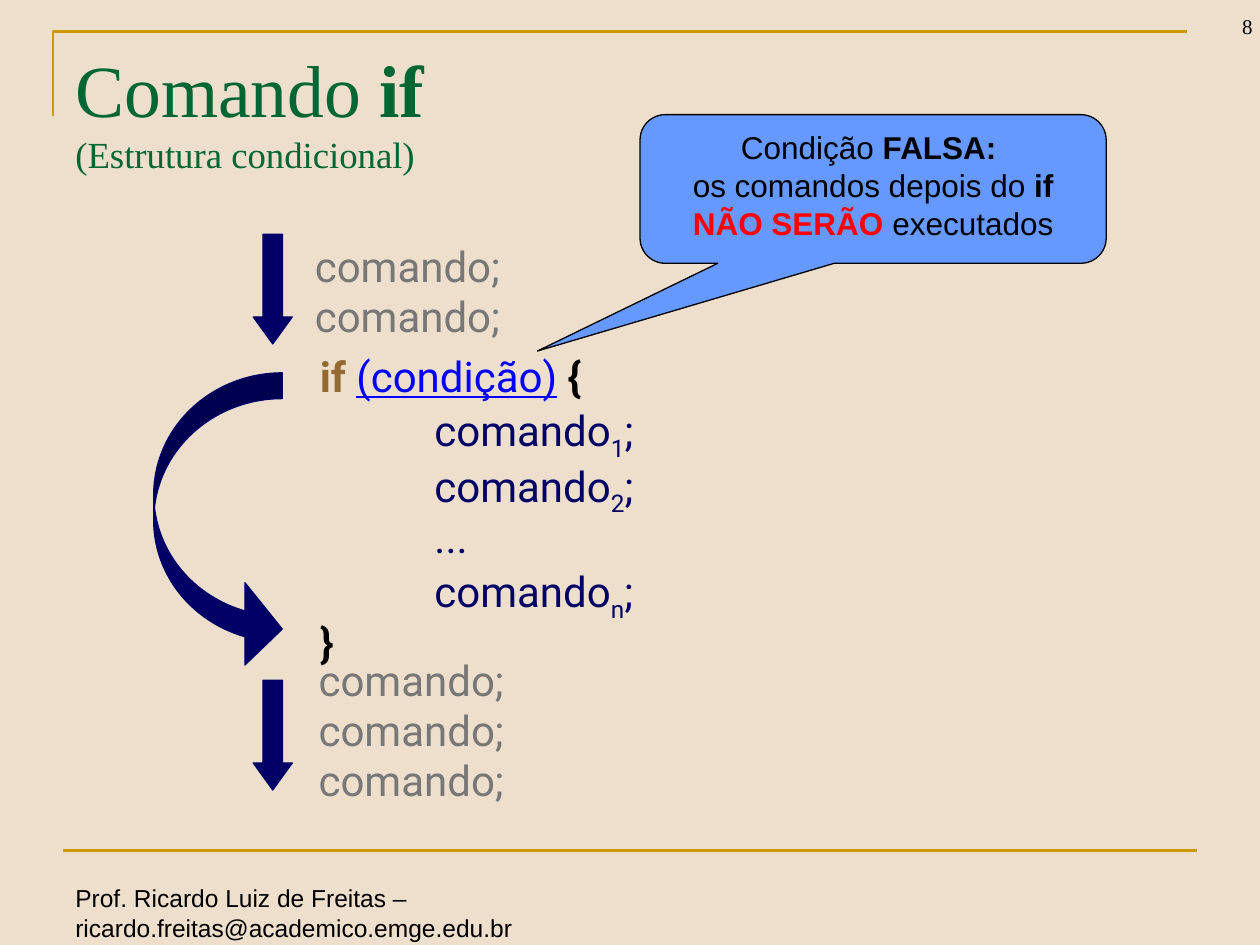
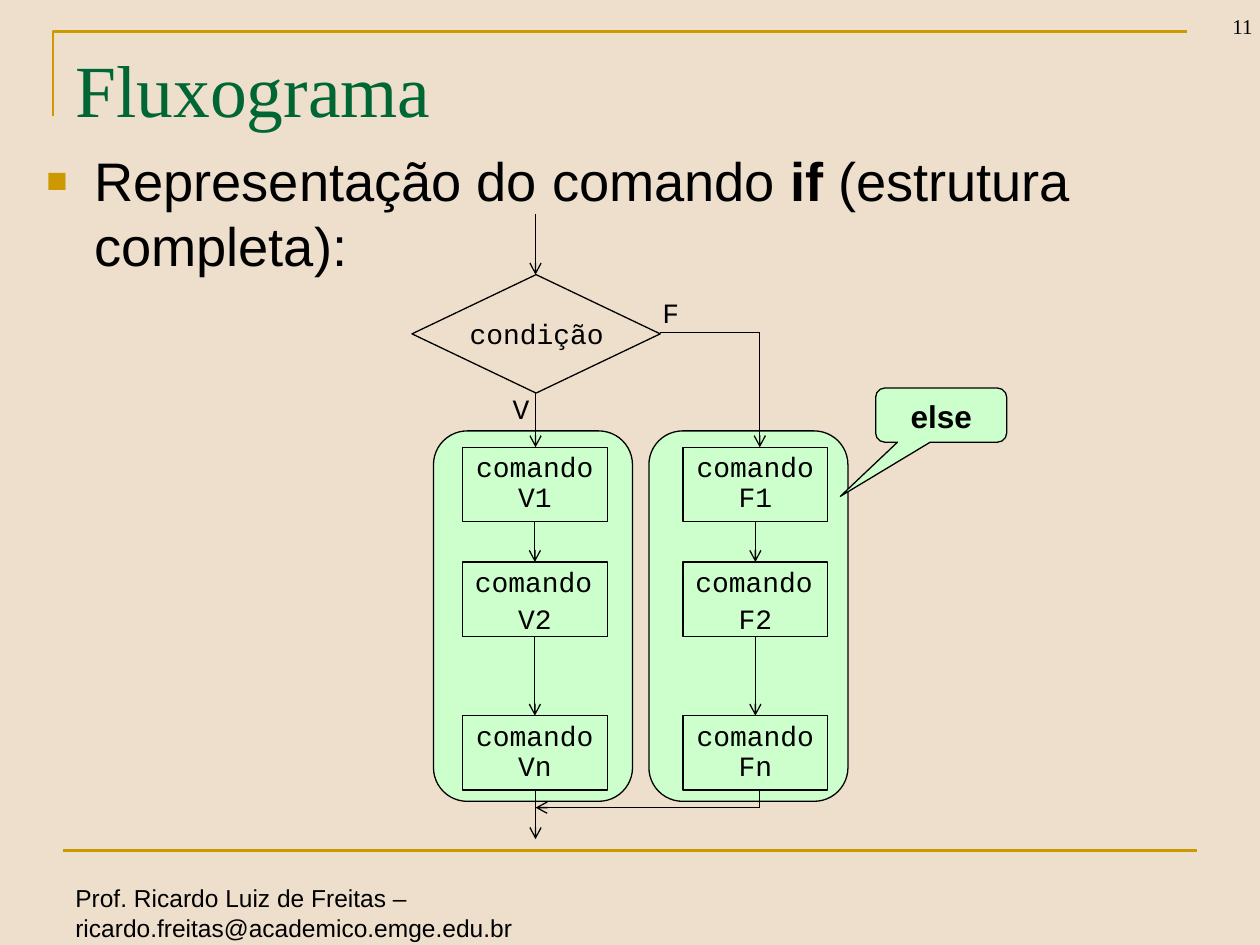
from dataclasses import dataclass
from typing import NamedTuple

import lxml.etree
import pptx
import pptx.dml.color
import pptx.enum.shapes
import pptx.enum.text
import pptx.oxml.ns
import pptx.util

SHAPES = pptx.enum.shapes.MSO_SHAPE
ALIGN = pptx.enum.text.PP_ALIGN
ANCHOR = pptx.enum.text.MSO_ANCHOR
SLIDE_WIDTH = pptx.util.Inches(10)
SLIDE_HEIGHT = pptx.util.Inches(7.5)
COLUMNS, ROWS = 100, 75


@dataclass(frozen=True)
class Theme:
    paper: str = "EEDFCC"
    gold: str = "CC9900"
    green: str = "006633"
    black: str = "000000"
    navy: str = "000066"
    blue: str = "0000FF"
    sky: str = "6699FF"
    mint: str = "CCFFCC"
    gray: str = "777777"
    brown: str = "946A32"
    red: str = "FF0000"
    serif: str = "Times New Roman"
    sans: str = "Arial"
    code: str = "Roboto"
    mono: str = "Courier New"
    title_size: float = 42
    subtitle_size: float = 21
    body_size: float = 31
    code_size: float = 24
    callout_size: float = 18
    flow_size: float = 16
    footer_size: float = 14
    number_size: float = 12
    thin: float = 0.75
    rule: float = 1.5


THEME = Theme()


class Area(NamedTuple):
    column: float
    row: float
    columns: float
    rows: float


class Point(NamedTuple):
    column: float
    row: float


class Span(NamedTuple):
    text: str
    color: str | None = None
    bold: bool = False
    underline: bool = False
    size: float | None = None
    baseline: int = 0


class Line(NamedTuple):
    spans: list[Span]
    align: ALIGN | None = None
    indent: float = 0


class Branch(NamedTuple):
    letter: str
    panel_column: float
    box_column: float


def across(columns: float) -> int:
    return round(SLIDE_WIDTH * columns / COLUMNS)


def down(rows: float) -> int:
    return round(SLIDE_HEIGHT * rows / ROWS)


def place(area: Area) -> tuple[int, int, int, int]:
    return across(area.column), down(area.row), across(area.columns), down(area.rows)


def rgb(color: str) -> pptx.dml.color.RGBColor:
    return pptx.dml.color.RGBColor.from_string(color)


def add_element(parent, tag: str, **attributes: str):
    element = lxml.etree.SubElement(parent, pptx.oxml.ns.qn(tag))
    for name, value in attributes.items():
        element.set(name, value)
    return element


def add_bullet(paragraph) -> None:
    properties = paragraph._p.get_or_add_pPr()
    properties.set("marL", str(across(3.8)))
    properties.set("indent", str(-across(3.8)))
    add_element(add_element(properties, "a:buClr"), "a:srgbClr", val=THEME.gold)
    add_element(properties, "a:buSzPct", val="65000")
    add_element(properties, "a:buFont", typeface=THEME.sans)
    add_element(properties, "a:buChar", char="■")


def write(shape, text: str | list[Line], *, font: str, size: float,
          color: str = THEME.black, bold: bool = False, align: ALIGN = ALIGN.LEFT,
          anchor: ANCHOR = ANCHOR.TOP, spacing: float = 1, gap: float = 0,
          wrap: bool = True, bullet: bool = False) -> None:
    lines = [Line([Span(text, bold=bold)])] if isinstance(text, str) else text
    frame = shape.text_frame
    frame.word_wrap = wrap
    frame.vertical_anchor = anchor
    for index, line in enumerate(lines):
        paragraph = frame.add_paragraph() if index else frame.paragraphs[0]
        if bullet:
            add_bullet(paragraph)
        elif line.indent:
            paragraph._p.get_or_add_pPr().set("marL", str(across(line.indent)))
        paragraph.alignment = line.align or align
        paragraph.line_spacing = spacing
        if index and gap:
            paragraph.space_before = pptx.util.Pt(round(size * gap, 1))
        for span in line.spans:
            if span.text == "\n":
                paragraph.add_line_break()
                continue
            run = paragraph.add_run()
            run.text = span.text
            run.font.name = font
            run.font.size = pptx.util.Pt(span.size or size)
            run.font.bold = span.bold
            run.font.underline = span.underline
            run.font.color.rgb = rgb(span.color or color)
            if span.baseline:
                run._r.get_or_add_rPr().set("baseline", str(span.baseline))


def add_text(slide, area: Area, text: str | list[Line], **style):
    shape = slide.shapes.add_textbox(*place(area))
    write(shape, text, **style)
    return shape


def add_figure(slide, kind: SHAPES, area: Area, fill: str | None = None,
               line: str = THEME.black, adjustments: tuple[float, ...] = ()):
    shape = slide.shapes.add_shape(kind, *place(area))
    shape.shadow.inherit = False
    if fill:
        shape.fill.solid()
        shape.fill.fore_color.rgb = rgb(fill)
    else:
        shape.fill.background()
    shape.line.color.rgb = rgb(line)
    shape.line.width = pptx.util.Pt(THEME.thin)
    for index, value in enumerate(adjustments):
        shape.adjustments[index] = value
    return shape


def add_line(slide, start: Point, end: Point, arrow: bool = True,
             color: str = THEME.black, width: float = THEME.thin) -> None:
    connector = slide.shapes.add_connector(
        pptx.enum.shapes.MSO_CONNECTOR.STRAIGHT,
        across(start.column), down(start.row), across(end.column), down(end.row))
    connector.line.color.rgb = rgb(color)
    connector.line.width = pptx.util.Pt(width)
    if arrow:
        add_element(connector.line._get_or_add_ln(), "a:tailEnd", type="arrow")
    add_element(connector._element.spPr, "a:effectLst")


def add_base_slide(presentation, number: int, title: list[Span]):
    slide = presentation.slides.add_slide(presentation.slide_layouts[6])
    slide.background.fill.solid()
    slide.background.fill.fore_color.rgb = rgb(THEME.paper)
    builder = slide.shapes.build_freeform(across(4.2), down(9.2))
    builder.add_line_segments(
        [(across(4.2), down(2.5)), (across(94.2), down(2.5))], close=False)
    bracket = builder.convert_to_shape()
    bracket.shadow.inherit = False
    bracket.fill.background()
    bracket.line.color.rgb = rgb(THEME.gold)
    bracket.line.width = pptx.util.Pt(THEME.rule)
    footer = add_text(
        slide, Area(5, 69.6, 63.3, 3.4),
        "Prof. Ricardo Luiz de Freitas – ricardo.freitas@academico.emge.edu.br",
        font=THEME.sans, size=THEME.footer_size)
    footer.text_frame.margin_right = across(20)
    add_line(slide, Point(5, 67.5), Point(95, 67.5), arrow=False,
             color=THEME.gold, width=THEME.rule)
    add_text(slide, Area(92.9, -1.4, 7.5, 5), str(number), font=THEME.serif,
             size=THEME.number_size, align=ALIGN.RIGHT, anchor=ANCHOR.BOTTOM)
    add_text(slide, Area(5, 3, 90, 12.5), [Line(title)], font=THEME.serif,
             size=THEME.title_size, color=THEME.green)
    return slide


def build_if_slide(presentation) -> None:
    slide = add_base_slide(presentation, 8, [
        Span("Comando "), Span("if", bold=True), Span("\n"),
        Span("(Estrutura condicional)", size=THEME.subtitle_size)])
    code_style = dict(font=THEME.code, size=THEME.code_size, spacing=0.8, gap=0.23)

    condition = Line([Span("if ", THEME.brown, bold=True),
                      Span("(condição)", THEME.blue, underline=True),
                      Span(" "), Span("{", bold=True)])
    body = [Line([Span("comando"), Span(mark, baseline=-25000), Span(";")], indent=9.1)
            for mark in "12n"]
    body.insert(2, Line([Span("...")], indent=9.1))
    body = [line._replace(spans=[span._replace(color=THEME.navy) for span in line.spans])
            for line in body]
    add_text(slide, Area(24.4, 28.1, 45.7, 24.4),
             [condition, *body, Line([Span("}", bold=True)])], **code_style)

    for area, count in ((Area(24.3, 52.2, 17.8, 12.3), 3), (Area(24, 19.4, 20.5, 8.3), 2)):
        add_text(slide, area, [Line([Span("comando;")])] * count,
                 color=THEME.gray, **code_style)

    for row in (18.6, 54):
        add_figure(slide, SHAPES.DOWN_ARROW, Area(20.1, row, 3.1, 8.7),
                   THEME.navy, THEME.navy, (0.5, 0.69))
    add_figure(slide, SHAPES.CURVED_RIGHT_ARROW, Area(12.2, 29.6, 10.2, 23.6),
               THEME.navy, THEME.navy, (0.2, 0.64, 0.29))

    callout = add_figure(slide, SHAPES.ROUNDED_RECTANGULAR_CALLOUT,
                         Area(50.8, 9.1, 37, 11.8), THEME.sky,
                         adjustments=(-0.72, 1.09, 0.17))
    write(callout, [
        Line([Span("Condição"), Span(" FALSA: ", bold=True)]),
        Line([Span("os comandos depois do "), Span("if ", bold=True),
              Span("NÃO SERÃO", THEME.red, bold=True), Span(" executados")])],
        font=THEME.sans, size=THEME.callout_size, align=ALIGN.CENTER)


def build_flowchart_slide(presentation) -> None:
    slide = add_base_slide(presentation, 11, [Span("Fluxograma")])
    flow_style = dict(font=THEME.mono, size=THEME.flow_size, spacing=0.9, gap=0.23)
    add_text(slide, Area(2.7, 11.2, 99.3, 9), [Line([
        Span("Representação do comando "), Span("if", bold=True),
        Span(" (estrutura completa):")])],
        font=THEME.sans, size=THEME.body_size, bullet=True)

    box_rows = {"1": 35.5, "2": 44.6, "n": 56.8}
    box_columns, box_height = 11.5, 5.9
    for branch in (Branch("V", 34.4, 36.7), Branch("F", 51.5, 54.2)):
        add_figure(slide, SHAPES.ROUNDED_RECTANGLE,
                   Area(branch.panel_column, 34.2, 15.8, 29.4), THEME.mint,
                   adjustments=(0.17,))
        for mark, row in box_rows.items():
            box = add_figure(slide, SHAPES.RECTANGLE,
                             Area(branch.box_column, row, box_columns, box_height))
            label = branch.letter + mark
            lines = ([Line([Span("comando")], ALIGN.LEFT), Line([Span(label)])]
                     if mark == "2" else f"comando {label}")
            write(box, lines, align=ALIGN.CENTER, **flow_style)
        center = branch.box_column + box_columns / 2
        rows = list(box_rows.values())
        for upper, lower in zip(rows, rows[1:]):
            add_line(slide, Point(center, upper + box_height), Point(center, lower))

    callout = add_figure(slide, SHAPES.ROUNDED_RECTANGULAR_CALLOUT,
                         Area(69.5, 30.8, 10.4, 4.3), THEME.mint,
                         adjustments=(-0.77, 1.5, 0.17))
    write(callout, "else", font=THEME.sans, size=THEME.callout_size, bold=True,
          align=ALIGN.CENTER)

    add_figure(slide, SHAPES.FLOWCHART_DECISION, Area(32.7, 21.8, 19.7, 9.4))
    add_text(slide, Area(36.3, 24.9, 13.4, 3.4), "condição", **flow_style)
    add_text(slide, Area(51.6, 23.3, 3.4, 3.5), "F", wrap=False, **flow_style)
    add_text(slide, Area(39.7, 30.9, 3.4, 3.5), "V", wrap=False, **flow_style)

    main_column, else_column, merge_row = 42.5, 60.3, 64.1
    box_bottom = box_rows["n"] + box_height
    add_line(slide, Point(main_column, 17), Point(main_column, 21.8))
    add_line(slide, Point(main_column, 31.2), Point(main_column, 35.5))
    add_line(slide, Point(main_column, box_bottom), Point(main_column, 66.6))
    add_line(slide, Point(52.4, 26.4), Point(else_column, 26.4), arrow=False)
    add_line(slide, Point(else_column, 26.4), Point(else_column, 35.5))
    add_line(slide, Point(else_column, box_bottom), Point(else_column, merge_row), arrow=False)
    add_line(slide, Point(else_column, merge_row), Point(main_column, merge_row))


def main() -> None:
    presentation = pptx.Presentation()
    presentation.slide_width = SLIDE_WIDTH
    presentation.slide_height = SLIDE_HEIGHT
    build_if_slide(presentation)
    build_flowchart_slide(presentation)
    presentation.save("out.pptx")


if __name__ == "__main__":
    main()
